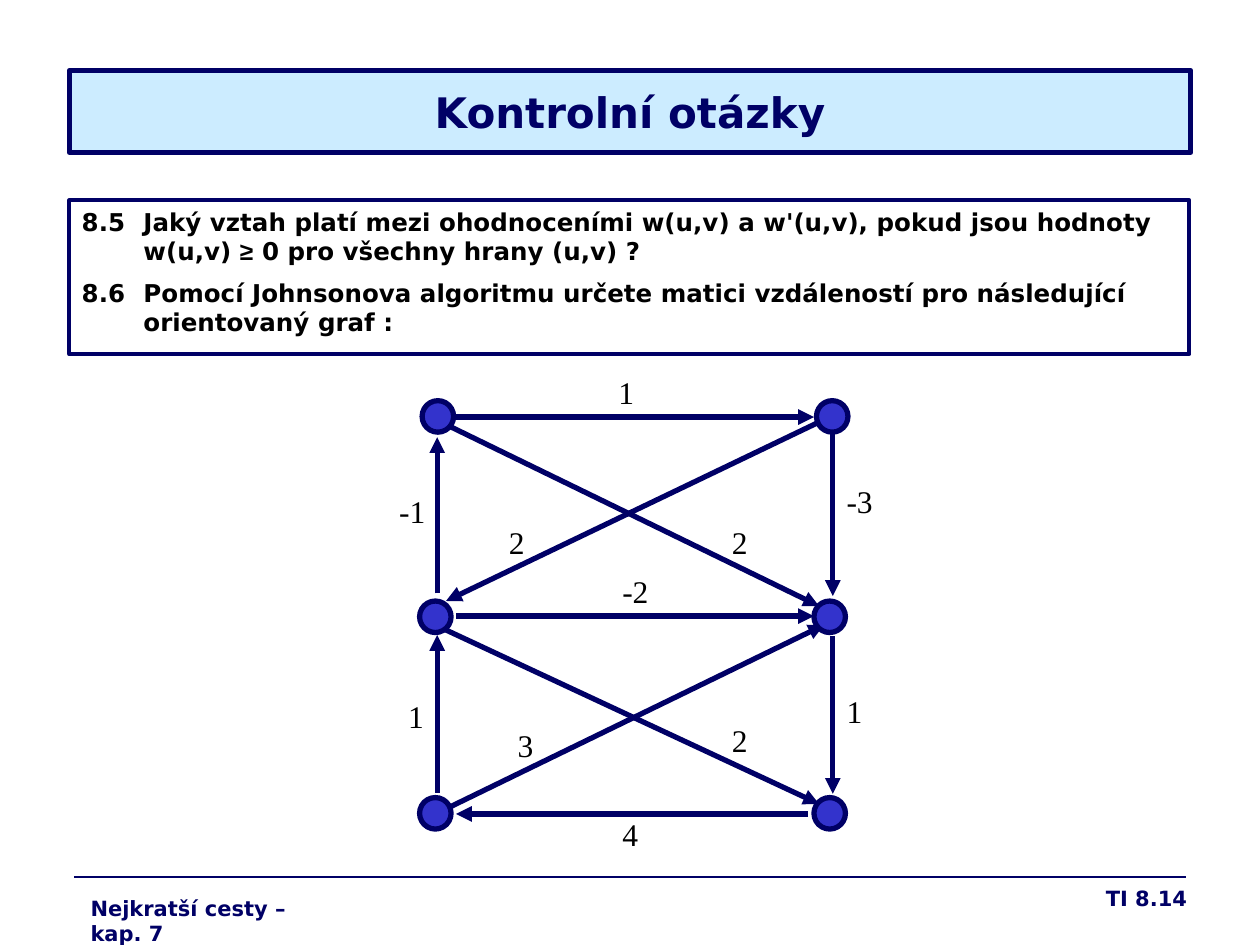
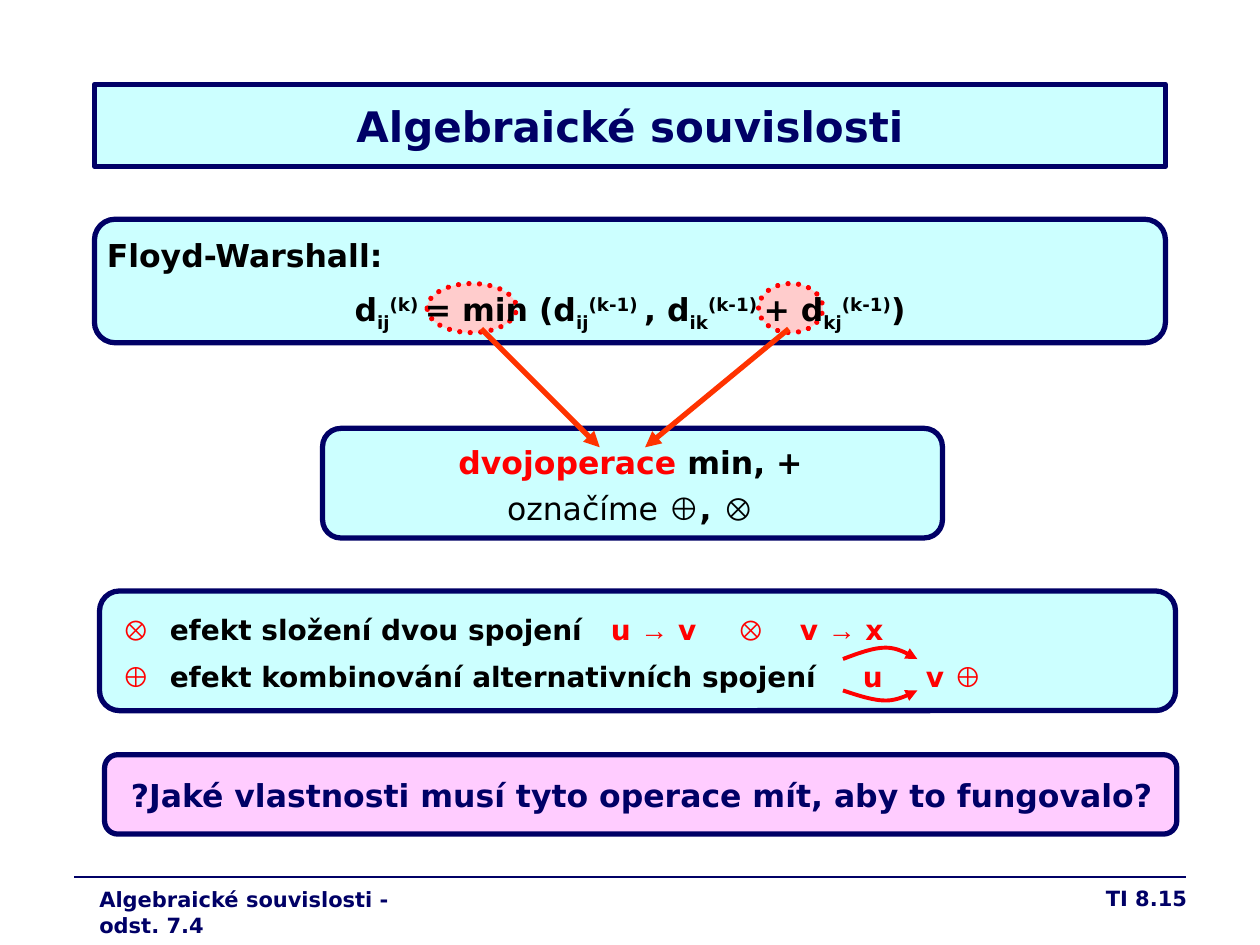
from dataclasses import dataclass, replace

from lxml import etree
from pptx import Presentation
from pptx import util as u
from pptx.dml.color import RGBColor
from pptx.enum import dml, shapes, text
from pptx.oxml.ns import qn


@dataclass(frozen=True)
class TextStyle:
    size: float
    color: str = "000000"
    bold: bool = True
    font: str = "DejaVu Sans"
    baseline: int = 0


@dataclass(frozen=True)
class Theme:
    navy: str = "000066"
    red: str = "FF0000"
    orange: str = "FF3300"
    node: str = "3333CC"
    sky: str = "CCECFF"
    aqua: str = "CCFFFF"
    pink: str = "FFCCFF"
    highlight: str = "FFCCCC"
    symbol_font: str = "Arial"
    heavy: float = 3
    medium: float = 2.25
    thin: float = 0.75
    title: TextStyle = TextStyle(24, "000066")
    footer: TextStyle = TextStyle(12, "000066")
    question: TextStyle = TextStyle(14)
    formula: TextStyle = TextStyle(18)
    effect: TextStyle = TextStyle(16)
    weight: TextStyle = TextStyle(18, bold=False, font="Times New Roman")


@dataclass
class Line:
    """One paragraph: its runs as (text, style) pairs, and its layout."""
    runs: list
    align: object = text.PP_ALIGN.LEFT
    before: float = 0
    after: float = 0
    spacing: float = 1
    hanging: float = 0
    tabs: tuple = ()


class Deck:
    def __init__(self, theme):
        self.theme = theme
        self.presentation = Presentation()
        self.presentation.slide_width = u.Inches(10)
        self.presentation.slide_height = u.Inches(7.5)
        self.slide = None

    def start(self, number, footer, footer_box):
        """Add a slide with its footer rule, number and chapter name."""
        self.slide = self.presentation.slides.add_slide(
            self.presentation.slide_layouts[5])
        theme = self.theme
        self.line((0.59, 6.96), (9.41, 6.96), theme.navy, theme.thin, arrow=False)
        self.text((7.44, 6.98, 2.08, 0.36),
                  [Line([(number, theme.footer)], text.PP_ALIGN.RIGHT)])
        self.text(footer_box, [Line([(footer, theme.footer)])])

    def title(self, words, box, fill):
        shape = self.slide.shapes.title
        shape.left, shape.top, shape.width, shape.height = map(u.Inches, box)
        self.paint(shape, fill, self.theme.navy, self.theme.heavy)
        shape.text_frame.vertical_anchor = text.MSO_ANCHOR.MIDDLE
        self.set_lines(shape.text_frame,
                       [Line([(words, self.theme.title)], text.PP_ALIGN.CENTER)])

    def text(self, box, lines):
        shape = self.slide.shapes.add_textbox(*map(u.Inches, box))
        self.set_lines(shape.text_frame, lines)
        return shape

    def shape(self, kind, box, fill, color, dotted=False):
        shape = self.slide.shapes.add_shape(kind, *map(u.Inches, box))
        shape.shadow.inherit = False
        self.paint(shape, fill, color, self.theme.heavy)
        if dotted:
            shape.line.dash_style = dml.MSO_LINE.ROUND_DOT
            shape._element.spPr.find(qn("a:ln")).set("cap", "rnd")

    def card(self, box, fill):
        self.shape(shapes.MSO_SHAPE.ROUNDED_RECTANGLE, box, fill, self.theme.navy)

    def oval(self, box, fill, color, dotted=False):
        self.shape(shapes.MSO_SHAPE.OVAL, box, fill, color, dotted)

    def line(self, start, end, color, width, arrow=True):
        connector = self.slide.shapes.add_connector(
            shapes.MSO_CONNECTOR.STRAIGHT, *map(u.Inches, start + end))
        self.stroke(connector, color, width)
        if arrow:
            self.arrowhead(connector)
        etree.SubElement(connector._element.spPr, qn("a:effectLst"))

    def curve(self, start, segments, color, width):
        """Draw an open arrow along cubic segments (control, control, end)."""
        points, steps = [start], 12
        for segment in segments:
            a, b, c, d = (points[-1], *segment)
            for step in range(1, steps + 1):
                t = step / steps
                s = 1 - t
                points.append(tuple(
                    s**3 * a[i] + 3 * s * s * t * b[i] + 3 * s * t * t * c[i] + t**3 * d[i]
                    for i in (0, 1)))
        points = [tuple(map(u.Inches, point)) for point in points]
        builder = self.slide.shapes.build_freeform(*points[0])
        builder.add_line_segments(points[1:], close=False)
        shape = builder.convert_to_shape()
        shape.shadow.inherit = False
        self.paint(shape, None, color, width)
        self.arrowhead(shape)

    @staticmethod
    def arrowhead(shape):
        etree.SubElement(shape._element.spPr.find(qn("a:ln")),
                         qn("a:tailEnd"), type="triangle")

    @staticmethod
    def stroke(shape, color, width):
        shape.line.color.rgb = RGBColor.from_string(color)
        shape.line.width = u.Pt(width)

    def paint(self, shape, fill, color, width):
        if fill:
            shape.fill.solid()
            shape.fill.fore_color.rgb = RGBColor.from_string(fill)
        else:
            shape.fill.background()
        self.stroke(shape, color, width)

    @staticmethod
    def set_lines(frame, lines):
        frame.word_wrap = True
        frame.auto_size = text.MSO_AUTO_SIZE.NONE
        for index, line in enumerate(lines):
            paragraph = frame.add_paragraph() if index else frame.paragraphs[0]
            paragraph.alignment = line.align
            paragraph.line_spacing = line.spacing
            paragraph.space_before = u.Pt(line.before if index else 0)
            paragraph.space_after = u.Pt(line.after)
            properties = paragraph._p.get_or_add_pPr()
            properties.set("marL", str(u.Inches(line.hanging)))
            properties.set("indent", str(-u.Inches(line.hanging)))
            if line.tabs:
                stops = etree.SubElement(properties, qn("a:tabLst"))
                for position in line.tabs:
                    etree.SubElement(stops, qn("a:tab"),
                                     pos=str(u.Inches(position)), algn="l")
            for words, style in line.runs:
                run = paragraph.add_run()
                run.text = words
                run.font.name = style.font
                run.font.size = u.Pt(style.size)
                run.font.bold = style.bold
                run.font.color.rgb = RGBColor.from_string(style.color)
                if style.baseline:
                    run._r.get_or_add_rPr().set("baseline", str(style.baseline * 1000))


def graph(deck):
    theme = deck.theme
    # start, end, weight, left and top of the weight
    edges = [
        ((3.58, 6.4), (6.54, 4.96), "3", (4.01, 5.71)),
        ((3.62, 4.89), (6.46, 4.89), "-2", (4.84, 4.49)),
        ((6.41, 6.46), (3.62, 6.46), "4", (4.84, 6.42)),
        ((3.47, 6.29), (3.47, 5.04), "1", (3.14, 5.48)),
        ((3.62, 3.31), (6.46, 3.31), "1", (4.81, 2.91)),
        ((3.5, 3.35), (6.5, 4.81), "2", (5.71, 4.1)),
        ((6.61, 3.39), (6.61, 4.73), "-3", (6.62, 3.78)),
        ((3.54, 5), (6.5, 6.38), "2", (5.71, 5.67)),
        ((6.5, 3.35), (3.54, 4.77), "2", (3.94, 4.1)),
        ((3.47, 4.71), (3.47, 3.47), "-1", (3.07, 3.86)),
        ((6.61, 5.05), (6.61, 6.3), "1", (6.62, 5.44)),
    ]
    nodes = [(3.35, 3.18), (6.48, 3.18), (3.33, 4.77),
             (6.46, 4.77), (3.33, 6.33), (6.46, 6.33)]
    for start, end, _, _ in edges:
        deck.line(start, end, theme.navy, theme.heavy)
    for corner in nodes:
        deck.oval((*corner, 0.25, 0.25), theme.node, theme.navy)
    for _, _, weight, corner in edges:
        deck.text((*corner, 0.23 + 0.09 * len(weight), 0.4),
                  [Line([(weight, theme.weight)])])


def review_questions(deck):
    theme = deck.theme
    plain = theme.question
    deck.start("TI 8.14", "Nejkratší cesty – kap. 7", (0.62, 7.06, 2.11, 0.3))
    deck.title("Kontrolní otázky", (0.55, 0.56, 8.9, 0.65), theme.sky)
    questions = [
        [("8.5\tJaký vztah platí mezi ohodnoceními w(u,v) a w'(u,v), "
          "pokud jsou hodnoty w(u,v) ", plain),
         ("≥", replace(plain, font=theme.symbol_font)),
         (" 0 pro všechny hrany (u,v) ?", plain)],
        [("8.6\tPomocí Johnsonova algoritmu určete matici vzdáleností "
          "pro následující orientovaný graf :", plain)],
    ]
    panel = deck.text((0.55, 1.59, 8.89, 1.22),
                      [Line(runs, before=3.5, after=3.5, hanging=0.49)
                       for runs in questions])
    deck.stroke(panel, theme.navy, theme.medium)
    graph(deck)


def algebraic_links(deck):
    theme = deck.theme
    center = text.PP_ALIGN.CENTER
    deck.start("TI 8.15", "Algebraické souvislosti - odst. 7.4", (0.69, 6.99, 2.95, 0.3))
    deck.title("Algebraické souvislosti", (0.75, 0.67, 8.5, 0.65), theme.aqua)
    deck.card((0.83, 5.99, 8.51, 0.63), theme.pink)
    for box in [(0.79, 4.69, 8.54, 0.95), (2.56, 3.4, 4.92, 0.87), (0.75, 1.74, 8.5, 0.98)]:
        deck.card(box, theme.aqua)
    for left, width in [(6.02, 0.51), (3.39, 0.71)]:
        deck.oval((left, 2.25, width, 0.39), theme.highlight, theme.red, dotted=True)

    base = theme.formula
    lower, upper = replace(base, baseline=-25), replace(base, baseline=30)
    formula = []
    for words, index, power in [("d", "ij", "(k) "), ("= min (d", "ij", "(k-1) "),
                                (", d", "ik", "(k-1) "), ("+ d", "kj", "(k-1)")]:
        formula += [(words, base), (index, lower), (power, upper)]
    deck.text((0.75, 1.82, 8.5, 0.91), [
        Line([("Floyd-Warshall:", base)]),
        Line(formula + [(")", base)], center, before=4.5, spacing=1.2),
    ])
    for start, end in [((3.82, 2.61), (4.76, 3.55)), ((6.26, 2.61), (5.12, 3.55))]:
        deck.line(start, end, theme.orange, theme.heavy)

    symbol = replace(base, font=theme.symbol_font)
    deck.text((2.64, 3.47, 4.73, 0.71), [
        Line([("dvojoperace ", replace(base, color=theme.red)), ("min, +", base)], center),
        Line([("označíme ", replace(base, bold=False)), ("⊕", symbol),
              (", ", base), ("⊗", symbol)], center, before=4.5),
    ])
    deck.text((0.94, 5.99, 8.5, 0.51), [
        Line([("?Jaké vlastnosti musí tyto operace mít, aby to fungovalo?",
               replace(base, color=theme.navy))], spacing=1.4)])

    effect = theme.effect
    red = replace(effect, color=theme.red)
    sign = replace(red, font=theme.symbol_font)
    deck.text((0.87, 4.81, 8.5, 0.75), [
        Line([("⊗\t", sign), ("efekt složení dvou spojení\t", effect), ("u ", red),
              ("→", sign), (" v\t", red), ("⊗\t", sign), ("v ", red), ("→", sign),
              (" x", red)], hanging=0.38, tabs=(0.38, 3.79, 4.65, 5)),
        Line([("⊕\t", sign), ("efekt kombinování alternativních spojení\t", effect),
              ("u\tv ", red), ("⊕", sign)],
             before=4, spacing=1.2, hanging=0.38, tabs=(0.38, 5.66, 6.27)),
    ])
    for edge, bulge in [(5.23, -0.09), (5.48, 0.08)]:
        peak, shoulder = edge + bulge, edge + bulge / 2
        deck.curve((6.69, edge),
                   [((6.81, shoulder), (6.93, peak), (7.03, peak)),
                    ((7.12, peak), (7.2, shoulder), (7.28, edge))],
                   theme.red, theme.medium)


def main():
    deck = Deck(Theme())
    review_questions(deck)
    algebraic_links(deck)
    deck.presentation.save("out.pptx")


if __name__ == "__main__":
    main()
